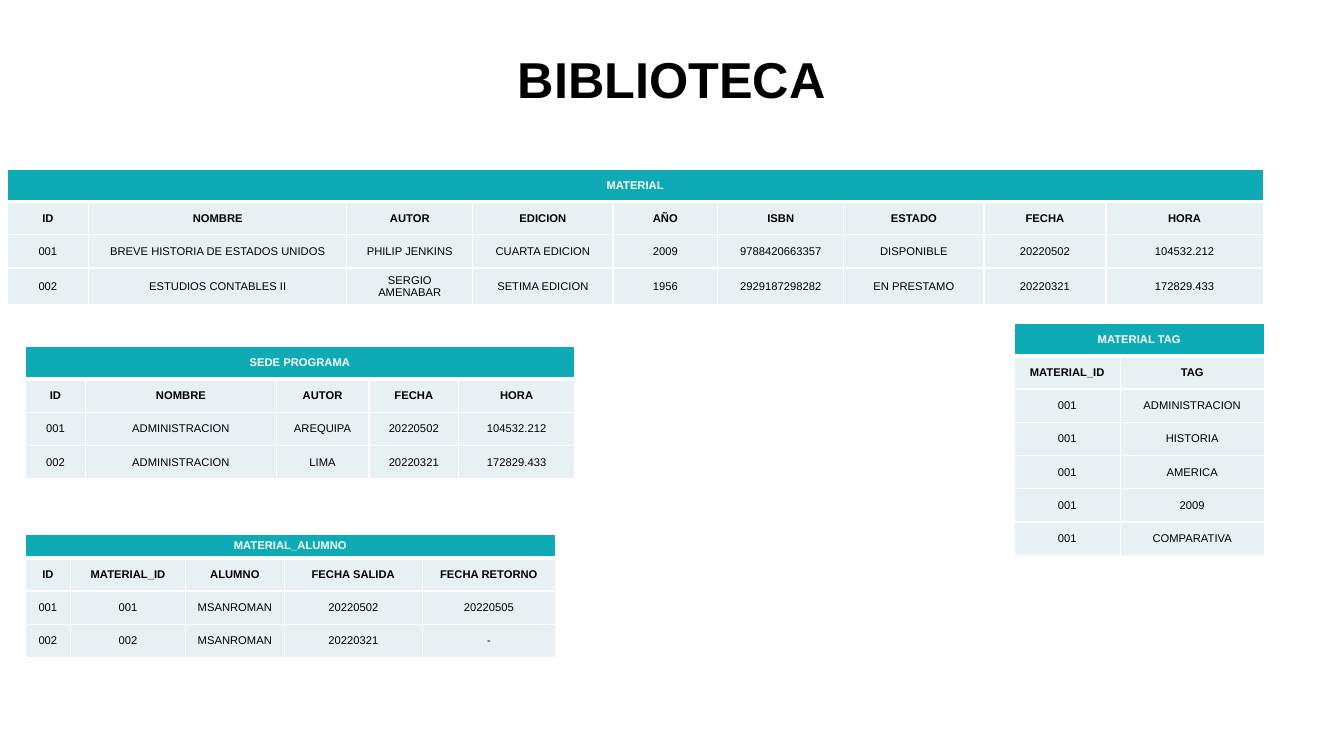
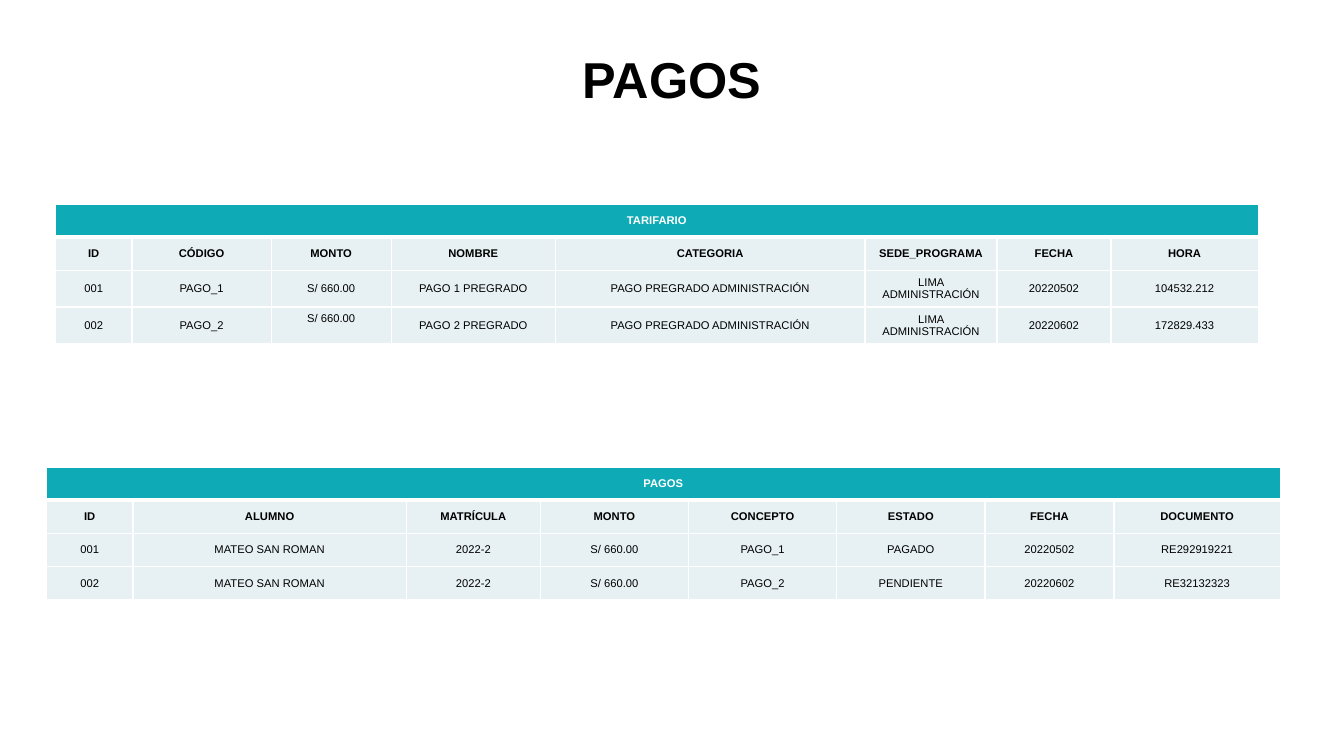
from lxml import etree
from pptx import Presentation
from pptx.dml.color import RGBColor
from pptx.enum.text import MSO_ANCHOR, PP_ALIGN
from pptx.oxml.ns import qn
from pptx.util import Inches, Pt

# Shared style
BLACK = RGBColor(0x00, 0x00, 0x00)
WHITE = RGBColor(0xFF, 0xFF, 0xFF)
TEAL = RGBColor(0x0E, 0xAB, 0xB7)
PALE = RGBColor(0xE7, 0xF1, 0xF3)
FONT = "Arial"
TITLE_SIZE = Pt(36)
CELL_SIZE = Pt(8)
THIN, THICK = Pt(1), Pt(3)
BAND_HEIGHT, ROW_HEIGHT = 0.32, 0.33
CENTER = PP_ALIGN.CENTER
TOP, MIDDLE = MSO_ANCHOR.TOP, MSO_ANCHOR.MIDDLE

# Table contents: column names first, then the records
MATERIAL = [
    ("ID", "NOMBRE", "AUTOR", "EDICION", "AÑO", "ISBN", "ESTADO", "FECHA", "HORA"),
    ("001", "BREVE HISTORIA DE ESTADOS UNIDOS", "PHILIP JENKINS", "CUARTA EDICION",
     "2009", "9788420663357", "DISPONIBLE", "20220502", "104532.212"),
    ("002", "ESTUDIOS CONTABLES II", "SERGIO AMENABAR", "SETIMA EDICION",
     "1956", "2929187298282", "EN PRESTAMO", "20220321", "172829.433"),
]
SEDE_PROGRAMA = [
    ("ID", "NOMBRE", "AUTOR", "FECHA", "HORA"),
    ("001", "ADMINISTRACION", "AREQUIPA", "20220502", "104532.212"),
    ("002", "ADMINISTRACION", "LIMA", "20220321", "172829.433"),
]
TAGS = ("ADMINISTRACION", "HISTORIA", "AMERICA", "2009", "COMPARATIVA")
MATERIAL_TAG = [("MATERIAL_ID", "TAG")] + [("001", tag) for tag in TAGS]
MATERIAL_ALUMNO = [
    ("ID", "MATERIAL_ID", "ALUMNO", "FECHA SALIDA", "FECHA RETORNO"),
    ("001", "001", "MSANROMAN", "20220502", "20220505"),
    ("002", "002", "MSANROMAN", "20220321", "-"),
]
PAGOS = [
    ("ID", "ALUMNO", "MATRÍCULA", "MONTO", "CONCEPTO", "ESTADO", "FECHA", "DOCUMENTO"),
    ("001", "MATEO SAN ROMAN", "2022-2", "S/ 660.00", "PAGO_1", "PAGADO",
     "20220502", "RE292919221"),
    ("002", "MATEO SAN ROMAN", "2022-2", "S/ 660.00", "PAGO_2", "PENDIENTE",
     "20220602", "RE32132323"),
]
TARIFARIO = [
    ("ID", "CÓDIGO", "MONTO", "NOMBRE", "CATEGORIA", "SEDE_PROGRAMA", "FECHA", "HORA"),
    ("001", "PAGO_1", "S/ 660.00", "PAGO 1 PREGRADO", "PAGO PREGRADO ADMINISTRACIÓN",
     "LIMA ADMINISTRACIÓN", "20220502", "104532.212"),
    ("002", "PAGO_2", "S/ 660.00", "PAGO 2 PREGRADO", "PAGO PREGRADO ADMINISTRACIÓN",
     "LIMA ADMINISTRACIÓN", "20220602", "172829.433"),
]


def write(para, text, size, color, bold):
    """Add one centred run to a paragraph."""
    para.alignment = CENTER
    span = para.add_run()
    span.text = text
    span.font.name = FONT
    span.font.size = size
    span.font.bold = bold
    span.font.color.rgb = color


def add_page(deck, title):
    """Add a blank page with its title."""
    page = deck.slides.add_slide(deck.slide_layouts[6])
    box = page.shapes.add_textbox(Inches(0.25), Inches(0.5), Inches(12.83), Inches(0.69))
    box.text_frame.word_wrap = True
    box.text_frame.vertical_anchor = TOP
    para = box.text_frame.paragraphs[0]
    para.line_spacing = 0.9
    write(para, title, TITLE_SIZE, BLACK, True)
    return page


def set_borders(cell, top, bottom):
    """Draw white borders; the side ones are always thin."""
    properties = cell._tc.get_or_add_tcPr()
    for tag, width in (("a:lnL", THIN), ("a:lnR", THIN), ("a:lnT", top), ("a:lnB", bottom)):
        line = etree.SubElement(properties, qn(tag), w=str(width))
        fill = etree.SubElement(line, qn("a:solidFill"))
        etree.SubElement(fill, qn("a:srgbClr"), val=str(WHITE))


def style_cell(cell, fill, top=THIN, bottom=THIN):
    set_borders(cell, top, bottom)
    cell.fill.solid()
    cell.fill.fore_color.rgb = fill
    cell.vertical_anchor = MIDDLE


def add_data_table(page, name, left, top, widths, rows, band_height=BAND_HEIGHT):
    """Add a table with a merged name band, bold column names and records."""
    height = band_height + ROW_HEIGHT * len(rows)
    frame = page.shapes.add_table(len(rows) + 1, len(widths), Inches(left), Inches(top),
                                  Inches(sum(widths)), Inches(height))
    table = frame.table
    for column, width in zip(table.columns, widths):
        column.width = Inches(width)
    for index, row in enumerate(table.rows):
        row.height = Inches(ROW_HEIGHT if index else band_height)

    # Name band
    for cell in table.rows[0].cells:
        style_cell(cell, TEAL, bottom=THICK)
    band = table.cell(0, 0)
    band.merge(table.cell(0, len(widths) - 1))
    write(band.text_frame.paragraphs[0], name, CELL_SIZE, WHITE, True)

    # Column names and records
    for row_index, texts in enumerate(rows, start=1):
        is_heading = row_index == 1
        for column_index, text in enumerate(texts):
            cell = table.cell(row_index, column_index)
            style_cell(cell, PALE, top=THICK if is_heading else THIN)
            write(cell.text_frame.paragraphs[0], text, CELL_SIZE, BLACK, is_heading)
    return table


def build_library(deck):
    page = add_page(deck, "BIBLIOTECA")
    add_data_table(page, "MATERIAL", 0.07, 1.68,
                   (0.81, 2.56, 1.25, 1.39, 1.04, 1.25, 1.39, 1.21, 1.56), MATERIAL)
    add_data_table(page, "SEDE PROGRAMA", 0.25, 3.44,
                   (0.6, 1.89, 0.92, 0.89, 1.15), SEDE_PROGRAMA)
    add_data_table(page, "MATERIAL TAG", 10.06, 3.21, (1.05, 1.43), MATERIAL_TAG)
    add_data_table(page, "MATERIAL_ALUMNO", 0.25, 5.3,
                   (0.45, 1.14, 0.98, 1.37, 1.32), MATERIAL_ALUMNO, band_height=0.22)


def build_payments(deck):
    page = add_page(deck, "PAGOS")
    add_data_table(page, "PAGOS", 0.46, 4.64,
                   (0.86, 2.71, 1.33, 1.47, 1.47, 1.47, 1.28, 1.65), PAGOS)
    rates = add_data_table(page, "TARIFARIO", 0.55, 2.03,
                           (0.76, 1.38, 1.19, 1.63, 3.07, 1.31, 1.13, 1.46), TARIFARIO)
    # The last amount sits at the top of its cell
    rates.cell(3, 2).vertical_anchor = TOP


def main():
    deck = Presentation()
    deck.slide_width = Inches(13.33)
    deck.slide_height = Inches(7.5)
    build_library(deck)
    build_payments(deck)
    deck.save("out.pptx")


if __name__ == "__main__":
    main()
